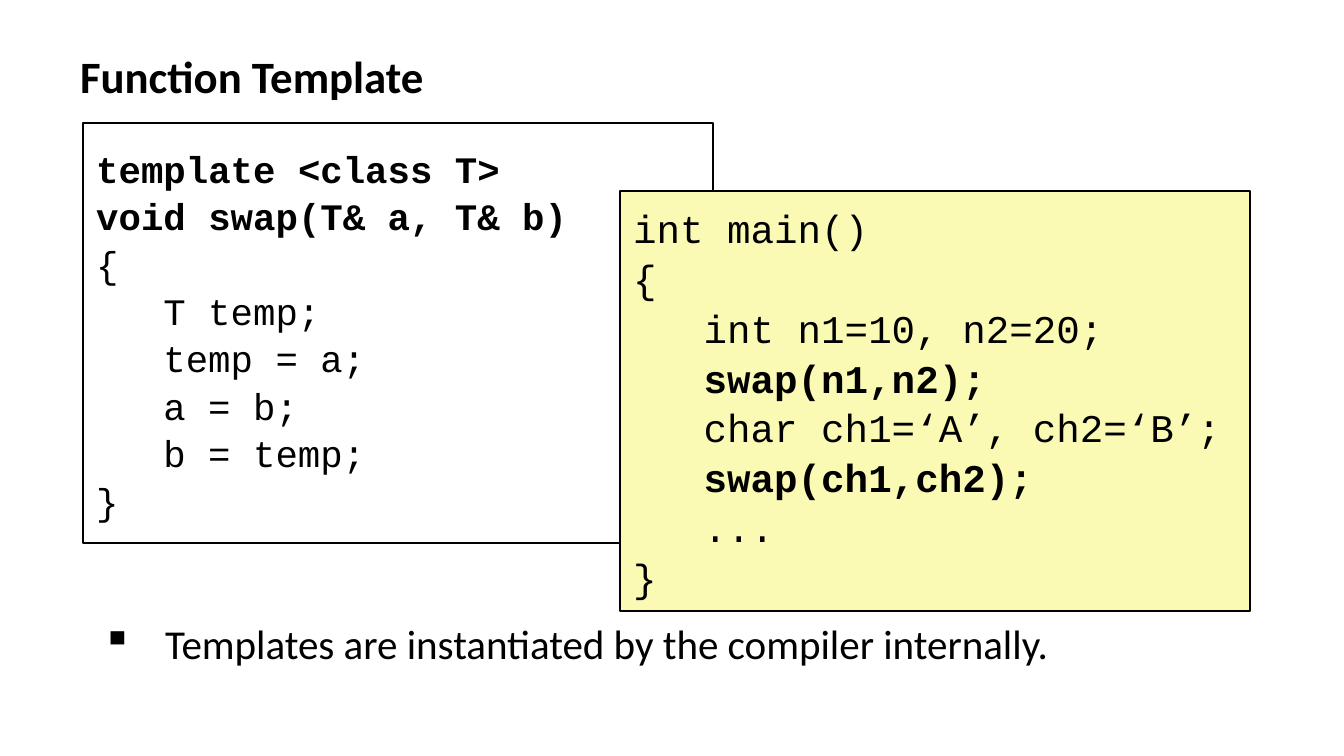
"""Build a slide that shows a C++ function template and its use."""
from lxml import etree
from pptx import Presentation
from pptx.dml.color import RGBColor
from pptx.enum.shapes import MSO_SHAPE
from pptx.enum.text import MSO_ANCHOR, PP_ALIGN
from pptx.oxml.ns import qn
from pptx.util import Emu, Pt

RECT = MSO_SHAPE.RECTANGLE
TOP, MIDDLE = MSO_ANCHOR.TOP, MSO_ANCHOR.MIDDLE
LEFT, JUSTIFY = PP_ALIGN.LEFT, PP_ALIGN.JUSTIFY
COLORS = {"ink": "000000", "paper": "FFFFFF", "usage": "FAFAB4"}
SANS, MONO = "Calibri", "Courier New"
INDENT_CHARS, MONO_ADVANCE = 3, 0.6

TEMPLATE_CODE = [
    (0, "template <class T>", True),
    (0, "void swap(T& a, T& b)", True),
    (0, "{", False),
    (1, "T temp;", False),
    (1, "temp = a;", False),
    (1, "a = b;", False),
    (1, "b = temp;", False),
    (0, "}", False),
]
USAGE_CODE = [
    (0, "int main()", False),
    (0, "{", False),
    (1, "int n1=10, n2=20;", False),
    (1, "swap(n1,n2);", True),
    (1, "char ch1=‘A’, ch2=‘B’;", False),
    (1, "swap(ch1,ch2);", True),
    (1, "...", False),
    (0, "}", False),
]


def px(n):
    return Emu(round(n * 914400 / 134.4))


def rgb(name):
    return RGBColor.from_string(COLORS[name])


def add_run(p, text, font, size, bold=False):
    r = p.add_run()
    r.text = text
    for key, value in {"name": font, "size": Pt(size), "bold": bold}.items():
        setattr(r.font, key, value)
    r.font.color.rgb = rgb("ink")


def set_frame(tf, anchor):
    tf.word_wrap = True
    tf.vertical_anchor = anchor


def add_text(s, box, text, size, bold=False, anchor=TOP, align=LEFT):
    tf = s.shapes.add_textbox(*map(px, box)).text_frame
    set_frame(tf, anchor)
    p = tf.paragraphs[0]
    p.alignment = align
    add_run(p, text, SANS, size, bold)
    return p


def add_bullet(p, char, margin, hanging):
    pPr = p._p.get_or_add_pPr()
    pPr.set("marL", str(px(margin)))
    pPr.set("indent", str(-px(hanging)))
    color = etree.SubElement(pPr, qn("a:buClr"))
    etree.SubElement(color, qn("a:srgbClr"), val=COLORS["ink"])
    etree.SubElement(pPr, qn("a:buChar"), char=char)


def add_code(s, box, lines, size, fill):
    sp = s.shapes.add_shape(RECT, *map(px, box))
    sp.shadow.inherit = False
    sp.fill.solid()
    sp.fill.fore_color.rgb = rgb(fill)
    sp.line.color.rgb = rgb("ink")
    sp.line.width = Pt(1)
    tf = sp.text_frame
    set_frame(tf, MIDDLE)
    step = Pt(INDENT_CHARS * MONO_ADVANCE * size)
    for i, (level, text, bold) in enumerate(lines):
        p = tf.add_paragraph() if i else tf.paragraphs[0]
        p.alignment = LEFT
        p.line_spacing = 1.06
        p._p.get_or_add_pPr().set("marL", str(level * step))
        add_run(p, text, MONO, size, bold)


def main():
    prs = Presentation()
    prs.slide_width, prs.slide_height = px(1344), px(756)
    s = prs.slides.add_slide(prs.slide_layouts[6])
    add_text(s, (67, 23, 1210, 105), "Function Template", 24, True, MIDDLE)
    p = add_text(s, (83, 612, 1196, 157),
                 "Templates are instantiated by the compiler internally.",
                 22, align=JUSTIFY)
    add_bullet(p, "▪", 69, 63)
    add_code(s, (83, 123, 630, 420), TEMPLATE_CODE, 20, "paper")
    add_code(s, (620, 191, 630, 420), USAGE_CODE, 21, "usage")
    prs.save("out.pptx")


if __name__ == "__main__":
    main()
